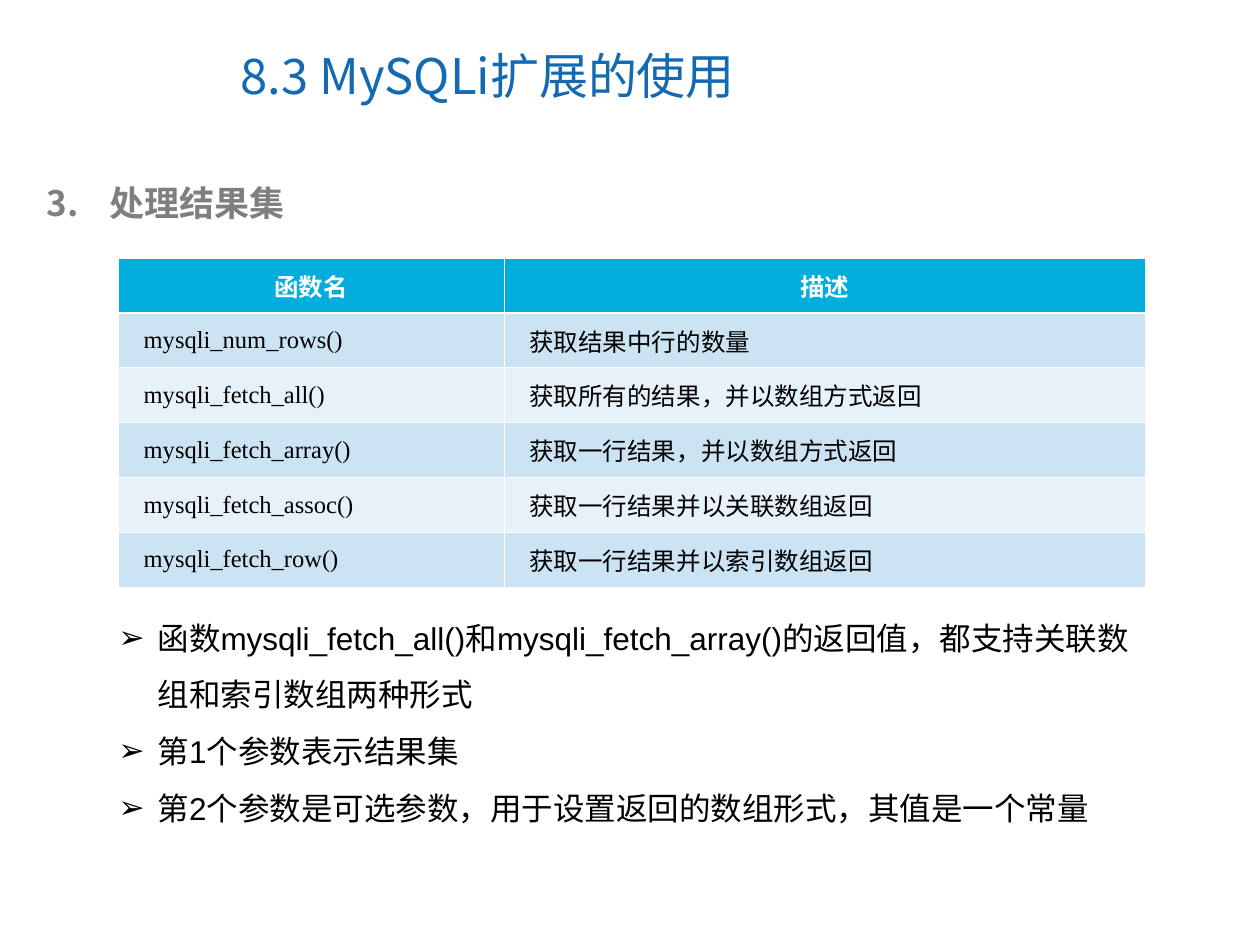
from dataclasses import dataclass

from lxml.etree import SubElement
from pptx import Presentation
from pptx.dml.color import RGBColor
from pptx.enum.text import MSO_ANCHOR, MSO_AUTO_SIZE, PP_ALIGN
from pptx.oxml.ns import qn
from pptx.util import Inches, Pt

TITLE = "8.3 MySQLi扩展的使用"
SECTION = "处理结果集"
SECTION_NUMBER = 3
HEADER = ("函数名", "描述")
FUNCTIONS = [
    ("mysqli_num_rows()", "获取结果中行的数量"),
    ("mysqli_fetch_all()", "获取所有的结果，并以数组方式返回"),
    ("mysqli_fetch_array()", "获取一行结果，并以数组方式返回"),
    ("mysqli_fetch_assoc()", "获取一行结果并以关联数组返回"),
    ("mysqli_fetch_row()", "获取一行结果并以索引数组返回"),
]
REMARKS = [
    "函数mysqli_fetch_all()和mysqli_fetch_array()的返回值，都支持关联数组和索引数组两种形式",
    "第1个参数表示结果集",
    "第2个参数是可选参数，用于设置返回的数组形式，其值是一个常量",
]


@dataclass(frozen=True)
class Theme:
    title: str = "1369B2"
    section: str = "7F7F7F"
    text: str = "000000"
    light: str = "FFFFFF"
    header: str = "00ADDC"
    bands: tuple = ("CBE3F2", "E7F1F9")
    title_size: int = 28
    section_size: int = 20
    remark_size: int = 18
    table_size: int = 14
    cjk: str = "Noto Sans CJK SC"
    sans: str = "Arial"
    serif: str = "Times New Roman"
    thin: float = 0.45
    thick: float = 1.47


THEME = Theme()


def add_run(paragraph, text, size, color, latin, bold=False):
    run = paragraph.add_run()
    run.text = text
    font = run.font
    font.size, font.bold, font.name = Pt(size), bold, latin
    font.color.rgb = RGBColor.from_string(color)
    SubElement(run._r.get_or_add_rPr(), qn("a:ea"), typeface=THEME.cjk)


def place(shape, left, top, width, height):
    shape.left, shape.top = Inches(left), Inches(top)
    shape.width, shape.height = Inches(width), Inches(height)
    shape.text_frame.word_wrap = True
    shape.text_frame.auto_size = MSO_AUTO_SIZE.NONE
    return shape.text_frame


def set_marker(paragraph, indent, color, font, tag, spacing=1.0, **marker):
    """Give the paragraph a hanging bullet or number."""
    paragraph.alignment = PP_ALIGN.LEFT
    paragraph.line_spacing = spacing
    paragraph.space_before = paragraph.space_after = Pt(0)
    props = paragraph._p.get_or_add_pPr()
    props.set("marL", str(Inches(indent)))
    props.set("indent", str(-Inches(indent)))
    SubElement(SubElement(props, qn("a:buClr")), qn("a:srgbClr"), val=color)
    SubElement(props, qn("a:buFont"), typeface=font)
    SubElement(props, qn(tag), **marker)


def style_cell(cell, fill, top, bottom):
    cell.vertical_anchor = MSO_ANCHOR.MIDDLE
    cell.margin_left = cell.margin_right = Inches(0.08)
    props = cell._tc.get_or_add_tcPr()
    edges = {"a:lnL": THEME.thin, "a:lnR": THEME.thin, "a:lnT": top, "a:lnB": bottom}
    for tag, width in edges.items():
        line = SubElement(props, qn(tag), w=str(Pt(width)))
        SubElement(SubElement(line, qn("a:solidFill")), qn("a:srgbClr"), val=THEME.light)
    cell.fill.solid()
    cell.fill.fore_color.rgb = RGBColor.from_string(fill)


def add_function_table(slide):
    rows = [HEADER, *FUNCTIONS]
    table = slide.shapes.add_table(
        len(rows), len(HEADER), Inches(0.94), Inches(2.05), Inches(8.15), Inches(2.61)
    ).table
    table.horz_banding = False
    for column, width in zip(table.columns, (3.06, 5.09)):
        column.width = Inches(width)
    for r, row in enumerate(rows):
        is_header = r == 0
        fill = THEME.header if is_header else THEME.bands[(r - 1) % 2]
        for c, text in enumerate(row):
            cell = table.cell(r, c)
            style_cell(cell, fill, THEME.thick if r == 1 else THEME.thin,
                       THEME.thick if is_header else THEME.thin)
            paragraph = cell.text_frame.paragraphs[0]
            paragraph.alignment = PP_ALIGN.CENTER if is_header else PP_ALIGN.JUSTIFY
            if not is_header:
                paragraph._p.get_or_add_pPr().set("marL", str(Inches(0.12)))
            add_run(paragraph, text, THEME.table_size,
                    THEME.light if is_header else THEME.text, THEME.serif, is_header)


def main():
    deck = Presentation()
    deck.slide_width, deck.slide_height = Inches(10), Inches(7.5)
    slide = deck.slides.add_slide(deck.slide_layouts.get_by_name("Two Content"))
    title, section, remarks = slide.placeholders

    heading = place(title, 1.81, 0.17, 5.16, 0.85)
    heading.vertical_anchor = MSO_ANCHOR.MIDDLE
    heading.paragraphs[0].alignment = PP_ALIGN.LEFT
    add_run(heading.paragraphs[0], TITLE, THEME.title_size, THEME.title, THEME.cjk)

    numbered = place(section, 0.27, 1.39, 9.22, 0.44).paragraphs[0]
    set_marker(numbered, 0.5, THEME.section, THEME.cjk, "a:buAutoNum",
               type="arabicPeriod", startAt=str(SECTION_NUMBER))
    add_run(numbered, SECTION, THEME.section_size, THEME.section, THEME.cjk, True)

    add_function_table(slide)

    frame = place(remarks, 0.84, 4.71, 8.3, 1.9)
    for i, remark in enumerate(REMARKS):
        paragraph = frame.add_paragraph() if i else frame.paragraphs[0]
        set_marker(paragraph, 0.31, THEME.text, THEME.sans, "a:buChar", 1.5, char="➢")
        add_run(paragraph, remark, THEME.remark_size, THEME.text, THEME.sans)

    deck.save("out.pptx")


if __name__ == "__main__":
    main()
